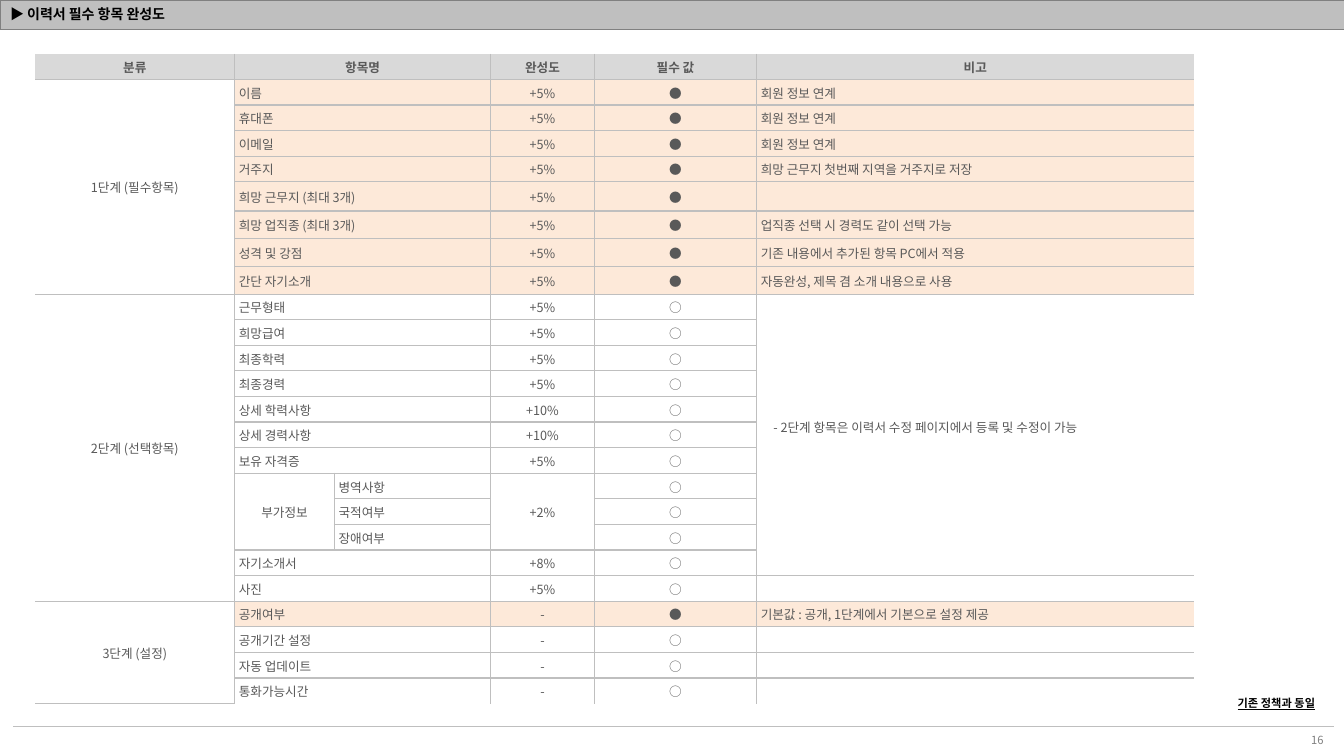
import pptx
import pptx.util
import pptx.dml.color
import pptx.enum.shapes
import pptx.enum.text
import pptx.oxml.ns
from lxml import etree

Pt = pptx.util.Pt
ALIGN = pptx.enum.text.PP_ALIGN
MIDDLE = pptx.enum.text.MSO_ANCHOR.MIDDLE
FONT = "Noto Sans CJK KR"
COLORS = {
    "black": "000000", "text": "595959", "page": "808080", "rule": "BFBFBF",
    "band": "BFBFBF", "heading": "D9D9D9", "required": "FDE9D9", "white": "FFFFFF",
}
HEADINGS = {0: "분류", 1: "항목명", 3: "완성도", 4: "필수 값", 5: "비고"}
COLUMN_WIDTHS = [142.6, 71.3, 111.5, 74.2, 115.9, 312.5]
ROW_HEIGHT = 18.3
TALL_ROWS = {5: 20.9, 6: 19.8, 7: 19.8, 8: 19.8}
STAGES = [("1단계 (필수항목)", 1, 8), ("2단계 (선택항목)", 9, 20), ("3단계 (설정)", 21, 24)]
EXTRA_ROWS = (16, 18)
STAGE_NOTE_ROWS = (9, 19)
ITEMS = [
    ("이름", "+5%", "●", "회원 정보 연계"),
    ("휴대폰", "+5%", "●", "회원 정보 연계"),
    ("이메일", "+5%", "●", "회원 정보 연계"),
    ("거주지", "+5%", "●", "희망 근무지 첫번째 지역을 거주지로 저장"),
    ("희망 근무지 (최대 3개)", "+5%", "●", ""),
    ("희망 업직종 (최대 3개)", "+5%", "●", "업직종 선택 시 경력도 같이 선택 가능"),
    ("성격 및 강점", "+5%", "●", "기존 내용에서 추가된 항목 PC에서 적용"),
    ("간단 자기소개", "+5%", "●", "자동완성, 제목 겸 소개 내용으로 사용"),
    ("근무형태", "+5%", "○", "- 2단계 항목은 이력서 수정 페이지에서 등록 및 수정이 가능"),
    ("희망급여", "+5%", "○", ""),
    ("최종학력", "+5%", "○", ""),
    ("최종경력", "+5%", "○", ""),
    ("상세 학력사항", "+10%", "○", ""),
    ("상세 경력사항", "+10%", "○", ""),
    ("보유 자격증", "+5%", "○", ""),
    ("병역사항", "+2%", "○", ""),
    ("국적여부", "", "○", ""),
    ("장애여부", "", "○", ""),
    ("자기소개서", "+8%", "○", ""),
    ("사진", "+5%", "○", ""),
    ("공개여부", "-", "●", "기본값 : 공개, 1단계에서 기본으로 설정 제공"),
    ("공개기간 설정", "-", "○", ""),
    ("자동 업데이트", "-", "○", ""),
    ("통화가능시간", "-", "○", ""),
]


def rgb(name):
    """Return the named colour."""
    return pptx.dml.color.RGBColor.from_string(COLORS[name])


def write(frame, text, size=9, color="text", bold=False, underline=False, align=ALIGN.LEFT):
    """Put one formatted line of text into a frame."""
    line = frame.paragraphs[0]
    line.alignment = align
    if not text:
        etree.SubElement(line._p, pptx.oxml.ns.qn("a:endParaRPr"), sz=str(size * 100))
        return
    run = line.add_run()
    run.text = text
    run.font.size = Pt(size)
    run.font.name = FONT
    run.font.bold = bold
    run.font.underline = underline
    run.font.color.rgb = rgb(color)
    etree.SubElement(run._r.get_or_add_rPr(), pptx.oxml.ns.qn("a:ea"), typeface=FONT)


def set_borders(cell, widths, color):
    """Draw the cell edges, with a width of zero for an open edge."""
    qn = pptx.oxml.ns.qn
    properties = cell._tc.get_or_add_tcPr()
    for edge, width in zip(("lnL", "lnR", "lnT", "lnB"), widths):
        line = etree.SubElement(properties, qn("a:" + edge), w=str(int(Pt(width))))
        if width:
            fill = etree.SubElement(line, qn("a:solidFill"))
            etree.SubElement(fill, qn("a:srgbClr"), val=COLORS[color])
        else:
            etree.SubElement(line, qn("a:noFill"))


def style_cell(cell, widths, border, fill):
    """Set the borders, fill, margins and anchor of a cell."""
    set_borders(cell, widths, border)
    cell.fill.solid()
    cell.fill.fore_color.rgb = rgb(fill)
    cell.margin_left = cell.margin_right = cell.margin_top = Pt(0.7)
    cell.margin_bottom = Pt(0)
    cell.vertical_anchor = MIDDLE


def add_plain_table(slide, rows, columns, left, top, width, height):
    """Add a table without banding or a header style."""
    table = slide.shapes.add_table(rows, columns, Pt(left), Pt(top), Pt(width), Pt(height)).table
    table.first_row = table.horz_banding = False
    return table


def add_label(slide, text, left, top, width, height, wrap=True, **style):
    """Add a text box with one line."""
    frame = slide.shapes.add_textbox(Pt(left), Pt(top), Pt(width), Pt(height)).text_frame
    frame.word_wrap = wrap
    frame.vertical_anchor = MIDDLE
    frame.margin_top = frame.margin_bottom = Pt(0)
    write(frame, text, **style)


def add_header(slide, left, top, width, height):
    """Place the grey band and the title over it."""
    band = add_plain_table(slide, 1, 1, left, top, width, height)
    style_cell(band.cell(0, 0), [0.25] * 4, "page", "band")
    write(band.cell(0, 0).text_frame, "")
    title = slide.shapes.title
    title.left, title.top, title.width, title.height = Pt(left), Pt(top), Pt(714), Pt(height)
    title.text_frame.vertical_anchor = MIDDLE
    title.text_frame.margin_top = title.text_frame.margin_bottom = Pt(0)
    write(title.text_frame, "▶ 이력서 필수 항목 완성도", size=10, color="black", bold=True)
    slide.shapes._spTree.append(title._element)


def add_items(slide, left, top, width, height):
    """Place the table of résumé items, grouped by stage."""
    last_row, last_column = len(ITEMS), len(COLUMN_WIDTHS) - 1
    table = add_plain_table(slide, last_row + 1, last_column + 1, left, top, width, height)
    for column, column_width in zip(table.columns, COLUMN_WIDTHS):
        column.width = Pt(column_width)

    texts = {(0, column): heading for column, heading in HEADINGS.items()}
    texts.update({(first, 0): stage for stage, first, last in STAGES})
    texts[EXTRA_ROWS[0], 1] = "부가정보"
    for row, (item, score, mark, note) in enumerate(ITEMS, 1):
        in_extra = EXTRA_ROWS[0] <= row <= EXTRA_ROWS[1]
        texts[row, 2 if in_extra else 1] = item
        texts[row, 3], texts[row, 4], texts[row, 5] = score, mark, note

    for row in range(last_row + 1):
        table.rows[row].height = Pt(TALL_ROWS.get(row, ROW_HEIGHT))
        required = row > 0 and ITEMS[row - 1][2] == "●"
        for column in range(last_column + 1):
            cell = table.cell(row, column)
            widths = [column > 0, column < last_column, row > 0, row < last_row]
            fill = "heading" if row == 0 else "required" if required and column else "white"
            style_cell(cell, widths, "rule", fill)
            centred = row == 0 or column in (0, 3, 4) or texts.get((row, column)) == "부가정보"
            if not centred:
                cell.margin_left = Pt(3)
            write(cell.text_frame, texts.get((row, column), ""), bold=row == 0,
                  align=ALIGN.CENTER if centred else ALIGN.LEFT)

    stage_note = table.cell(STAGE_NOTE_ROWS[0], 5)
    stage_note.margin_left = stage_note.margin_bottom = Pt(12)
    spans = [(first, 0, last, 0) for stage, first, last in STAGES]
    spans += [(EXTRA_ROWS[0], column, EXTRA_ROWS[1], column) for column in (1, 3)]
    spans.append((STAGE_NOTE_ROWS[0], 5, STAGE_NOTE_ROWS[1], 5))
    spans += [(row, 1, row, 2) for row in range(last_row + 1)
              if not EXTRA_ROWS[0] <= row <= EXTRA_ROWS[1]]
    for first_row, first_column, end_row, end_column in spans:
        table.cell(first_row, first_column).merge(table.cell(end_row, end_column))


def add_footer(slide, left, top, width, height):
    """Place the rule and the page number below it."""
    rule = slide.shapes.add_connector(
        pptx.enum.shapes.MSO_CONNECTOR.STRAIGHT, Pt(left), Pt(top), Pt(left + width), Pt(top))
    rule.line.color.rgb = rgb("rule")
    rule.line.width = Pt(0.75)
    etree.SubElement(rule._element.spPr, pptx.oxml.ns.qn("a:effectLst"))
    add_label(slide, "16", left + width - 34, top + 2, 34, height - 2,
              size=8, color="page", align=ALIGN.RIGHT)


def main():
    """Build the slide and save it."""
    deck = pptx.Presentation()
    deck.slide_width, deck.slide_height = Pt(960), Pt(540)
    slide = deck.slides.add_slide(deck.slide_layouts[5])
    add_header(slide, 0, 0, 960, 20.5)
    add_footer(slide, 9.4, 519.2, 943.2, 17.2)
    add_items(slide, 25, 38.4, 828, 464.6)
    add_label(slide, "기존 정책과 동일", 877, 494, 77, 17, wrap=False,
              size=8, color="black", bold=True, underline=True)
    deck.save("out.pptx")


if __name__ == "__main__":
    main()
